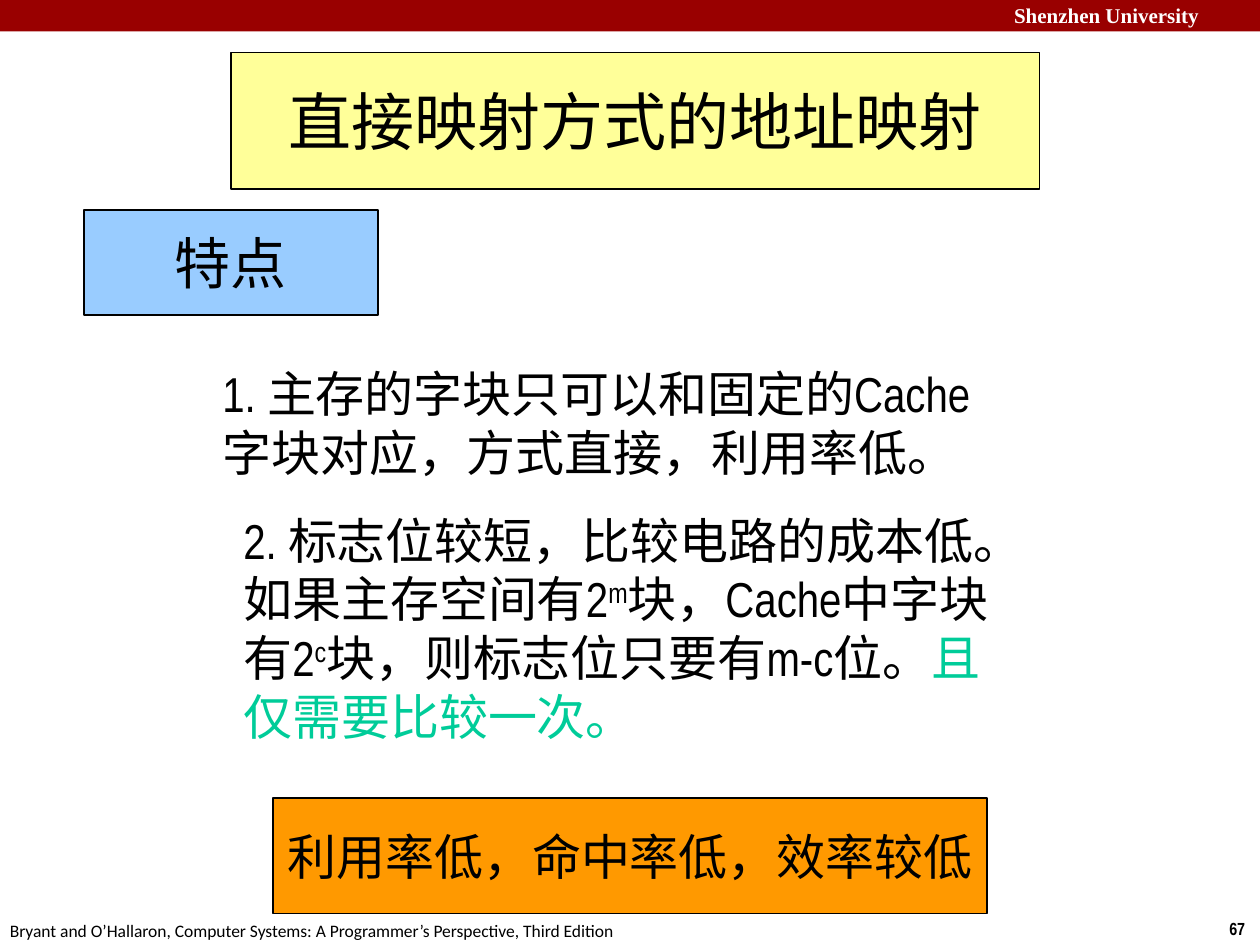
from pptx import Presentation
from pptx.dml.color import RGBColor
from pptx.enum.shapes import MSO_SHAPE
from pptx.enum.text import MSO_ANCHOR, PP_ALIGN
from pptx.util import Inches, Pt

WIDTH, HEIGHT = Inches(10), Inches(7.5)
COLUMNS, ROWS = 120, 90

BLACK = RGBColor(0x00, 0x00, 0x00)
WHITE = RGBColor(0xFF, 0xFF, 0xFF)
DARK_RED = RGBColor(0x99, 0x00, 0x00)
YELLOW = RGBColor(0xFF, 0xFF, 0x99)
BLUE = RGBColor(0x99, 0xCC, 0xFF)
ORANGE = RGBColor(0xFF, 0x99, 0x00)
GREEN = RGBColor(0x00, 0xCC, 0x99)

HEADER = {"name": "Times New Roman", "size": Pt(12), "bold": True}
PAGE_NUMBER = {"name": "Arial Narrow", "size": Pt(10), "bold": True}
CITATION = {"name": "Calibri", "size": Pt(10)}
TITLE = {"name": "Arial Narrow", "size": Pt(36)}
LABEL = {"name": "Arial Narrow", "size": Pt(32)}
BODY = {"name": "Arial Narrow", "size": Pt(28)}


def place(box):
    """Turn a box in columns and rows into slide lengths."""
    left, top, width, height = box
    column, row = WIDTH / COLUMNS, HEIGHT / ROWS
    return [round(length) for length in (left * column, top * row, width * column, height * row)]


def add_run(paragraph, text, style, color=BLACK, raised=False):
    """Append one formatted run, raised for an exponent."""
    run = paragraph.add_run()
    run.text = text
    for attribute, value in style.items():
        setattr(run.font, attribute, value)
    run.font.color.rgb = color
    if raised:
        run._r.get_or_add_rPr().set("baseline", "30000")


def add_rectangle(slide, box, fill, line=None):
    """Draw a flat rectangle with an optional thin outline."""
    shape = slide.shapes.add_shape(MSO_SHAPE.RECTANGLE, *place(box))
    shape.shadow.inherit = False
    shape.fill.solid()
    shape.fill.fore_color.rgb = fill
    if line is None:
        shape.line.fill.background()
    else:
        shape.line.color.rgb = line
        shape.line.width = Pt(0.75)
    return shape


def add_panel(slide, box, text, fill, style):
    """Draw an outlined panel with one centred line of text."""
    frame = add_rectangle(slide, box, fill, BLACK).text_frame
    frame.word_wrap = False
    frame.vertical_anchor = MSO_ANCHOR.MIDDLE
    paragraph = frame.paragraphs[0]
    paragraph.alignment = PP_ALIGN.CENTER
    add_run(paragraph, text, style)


def add_text(slide, box, pieces, style, wrap=True):
    """Place a text box whose pieces are text with optional run options."""
    frame = slide.shapes.add_textbox(*place(box)).text_frame
    frame.word_wrap = wrap
    for text, options in pieces:
        add_run(frame.paragraphs[0], text, style, **options)


def add_page_frame(slide, box):
    """Place the top band, the page number and the citation."""
    left, top, width, height = box
    right, bottom = left + width, top + height
    add_rectangle(slide, (left, top, width, 3), DARK_RED)
    add_text(slide, (right - 24.6, top - 0.36, 25.44, 3.6),
             [("Shenzhen University", {"color": WHITE})], HEADER)
    add_text(slide, (right - 4.1, bottom - 3.2, 4.1, 3.2), [("67", {})], PAGE_NUMBER, wrap=False)
    add_text(slide, (left - 0.24, bottom - 3, 61.08, 3.2),
             [("Bryant and O’Hallaron, Computer Systems: A Programmer’s Perspective, Third Edition", {})],
             CITATION, wrap=False)


def add_headings(slide, box):
    """Place the title panel and the section label."""
    left, top, width, height = box
    add_panel(slide, (left + 14, top, width - 14, 13), "直接映射方式的地址映射", YELLOW, TITLE)
    add_panel(slide, (left, top + height - 10, 28, 10), "特点", BLUE, LABEL)


def add_features(slide, box):
    """Place the two numbered features and the conclusion panel."""
    left, top, width, height = box
    add_text(slide, (left, top, width, 12.4),
             [("1. 主存的字块只可以和固定的Cache字块对应，方式直接，利用率低。", {})], BODY)
    add_text(slide, (left + 2, top + 14, width - 1, 23.6), [
        ("2. 标志位较短，比较电路的成本低。如果主存空间有2", {}),
        ("m", {"raised": True}),
        ("块，Cache中字块有2", {}),
        ("c", {"raised": True}),
        ("块，则标志位只要有m-c位。", {}),
        ("且仅需要比较一次。", {"color": GREEN}),
    ], BODY)
    add_panel(slide, (left + 6, top + height - 11, width - 8, 11),
              "利用率低，命中率低，效率较低", ORANGE, BODY)


def main():
    """Build and save the slide."""
    presentation = Presentation()
    presentation.slide_width, presentation.slide_height = WIDTH, HEIGHT
    slide = presentation.slides.add_slide(presentation.slide_layouts[6])
    add_page_frame(slide, (0, 0, COLUMNS, ROWS))
    add_headings(slide, (8, 5, 91, 25))
    add_features(slide, (20, 34, 76, 53))
    presentation.save("out.pptx")


if __name__ == "__main__":
    main()
